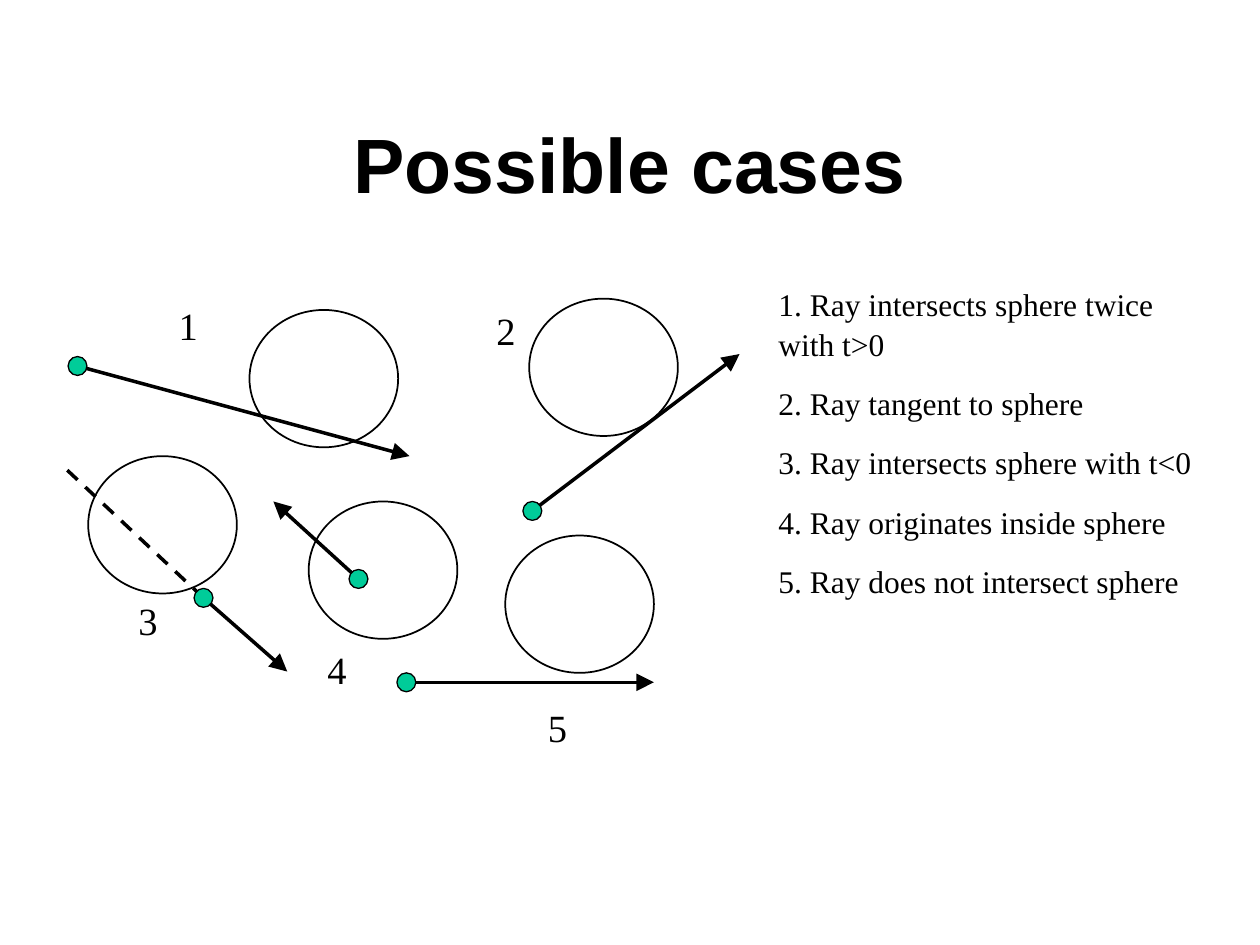
from pptx import Presentation, util as u
from pptx.dml.color import RGBColor
from pptx.enum import dml, shapes, text
from pptx.oxml.ns import qn
from lxml import etree

HUE = {"ink": "000000", "disc": "FFFFFF", "dot": "00CC99"}
COLS = 100
SERIF = "Times New Roman"

deck = Presentation()
deck.slide_width, deck.slide_height = u.Inches(10), u.Inches(7.5)
unit = deck.slide_width / COLS  # square grid, 100 columns by 75 rows
slide = deck.slides.add_slide(deck.slide_layouts[5])


def grid(*cells):
    return [round(cell * unit) for cell in cells]


def style(frame, size, font, bold=False):
    for para in frame.paragraphs:
        for run in para.runs:
            run.font.size, run.font.name, run.font.bold = u.Pt(size), font, bold
            run.font.color.rgb = RGBColor.from_string(HUE["ink"])


# Title
title = slide.shapes.title
title.left, title.top, title.width, title.height = grid(7.5, 6.7, 85, 12.5)
title.text_frame.text = "Possible cases"
title.text_frame.vertical_anchor = text.MSO_ANCHOR.MIDDLE
title.text_frame.paragraphs[0].alignment = text.PP_ALIGN.CENTER
style(title.text_frame, 44, "Arial", True)

# Each case: sphere corner, ray origin, ray tip, label corner
cases = [
    ((19.8, 24.6), (6.15, 29.05), (32.5, 36.2), (13.2, 23.3)),
    ((42, 23.7), (42.25, 40.55), (58.7, 28.1), (38.4, 23.7)),
    ((7, 36.2), (16.15, 47.45), (22.8, 53.3), (10, 46.7)),
    ((24.5, 39.8), (28.45, 45.95), (21.7, 39.8), (25, 50.6)),
    ((40.1, 42.5), (32.25, 54.15), (51.9, 54.15), (42.5, 55.2)),
]
spheres, origins, tips, labels = zip(*cases)

# Rays lie over the spheres and under the origin dots
rays = [(start, tip, True) for start, tip in zip(origins, tips)]
rays.append((origins[2], (5, 37), False))  # backward part of ray 3
discs = [(x, y, 11.8, 10.9, "disc", 1) for x, y in spheres]
dots = [(x - 0.75, y - 0.75, 1.5, 1.5, "dot", 0.75) for x, y in origins]

for part in discs + rays + dots:
    if len(part) == 3:
        start, tip, ahead = part
        ray = slide.shapes.add_connector(
            shapes.MSO_CONNECTOR.STRAIGHT, *grid(*start, *tip))
        ray.line.width = u.Pt(2)
        ray.line.color.rgb = RGBColor.from_string(HUE["ink"])
        if ahead:
            etree.SubElement(ray.line._get_or_add_ln(), qn("a:tailEnd"),
                             type="triangle", w="lg", len="lg")
        else:
            ray.line.dash_style = dml.MSO_LINE.DASH
        etree.SubElement(ray._element.spPr, qn("a:effectLst"))
    else:
        *place, hue, width = part
        oval = slide.shapes.add_shape(shapes.MSO_SHAPE.OVAL, *grid(*place))
        oval.shadow.inherit = False
        oval.fill.solid()
        oval.fill.fore_color.rgb = RGBColor.from_string(HUE[hue])
        oval.line.color.rgb = RGBColor.from_string(HUE["ink"])
        oval.line.width = u.Pt(width)

# Case numbers
for num, spot in enumerate(labels, 1):
    label = slide.shapes.add_textbox(*grid(*spot, 3.5, 4.7))
    label.text_frame.text = str(num)
    label.text_frame.word_wrap = False
    label.text_frame.paragraphs[0].line_spacing = 1.05
    style(label.text_frame, 22, SERIF)

# Legend
notes = [
    "1. Ray intersects sphere twice \vwith t>0",
    "2. Ray tangent to sphere",
    "3. Ray intersects sphere with t<0",
    "4. Ray originates inside sphere",
    "5. Ray does not intersect sphere",
]
legend = slide.shapes.add_textbox(*grid(60.8, 22, 37.7, 25.3)).text_frame
legend.word_wrap = True
legend.text = "\n".join(notes)
for row, para in enumerate(legend.paragraphs):
    para.line_spacing = 1.05
    if row:
        para.space_before = u.Pt(11.2)
style(legend, 18, SERIF)

deck.save("out.pptx")
